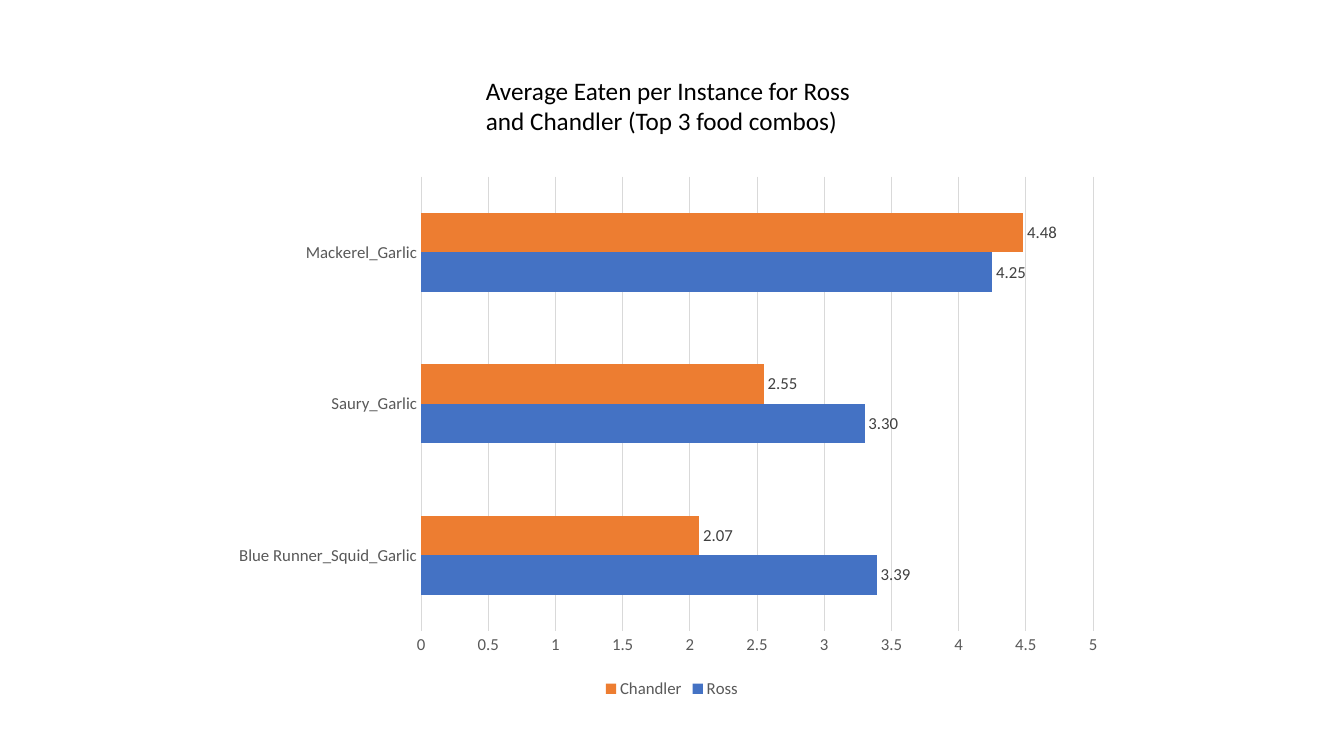
from pptx import Presentation
from pptx.chart.data import CategoryChartData
from pptx.dml.color import RGBColor
from pptx.enum.chart import XL_CHART_TYPE, XL_LABEL_POSITION, XL_LEGEND_POSITION, XL_TICK_MARK
from pptx.oxml import parse_xml
from pptx.oxml.ns import nsdecls, qn
from pptx.util import Pt

# Content
TITLE = "Average Eaten per Instance for Ross and Chandler (Top 3 food combos)"
FOODS = ["Blue Runner_Squid_Garlic", "Saury_Garlic", "Mackerel_Garlic"]
SERIES = [("Ross", [3.39, 3.30, 4.25]), ("Chandler", [2.07, 2.55, 4.48])]
COLORS = {"Ross": "4472C4", "Chandler": "ED7D31", "title": "000000",
          "axis": "595959", "label": "404040", "grid": "D9D9D9"}
FONT = "Calibri"
PLOT = {"x": 0.22, "y": 0.12, "w": 0.75, "h": 0.76}  # fractions of the chart


def style_font(font, size, color):
    font.name, font.size = FONT, Pt(size)
    font.color.rgb = RGBColor.from_string(COLORS[color])


def style_line(line):
    line.width = Pt(0.75)
    line.color.rgb = RGBColor.from_string(COLORS["grid"])


prs = Presentation()
prs.slide_width, prs.slide_height = Pt(960), Pt(540)
s = prs.slides.add_slide(prs.slide_layouts[6])

# Bar chart
data = CategoryChartData(number_format="#,##0.00")
data.categories = FOODS
for name, values in SERIES:
    data.add_series(name, values)
chart = s.shapes.add_chart(XL_CHART_TYPE.BAR_CLUSTERED, Pt(160), Pt(75),
                           Pt(640), Pt(427), data).chart
chart.has_title = False
style_font(chart.font, 10, "title")
plot = chart.plots[0]
plot.gap_width = 182
plot.vary_by_categories = False

# Series and their value labels
for series in plot.series:
    series.format.fill.solid()
    series.format.fill.fore_color.rgb = RGBColor.from_string(COLORS[series.name])
    labels = series.data_labels
    labels.show_value = True
    labels.position = XL_LABEL_POSITION.OUTSIDE_END
    labels.number_format, labels.number_format_is_linked = "#,##0.00", False
    style_font(labels.font, 12, "label")

# Axes
foods, amounts = chart.category_axis, chart.value_axis
for axis in (foods, amounts):
    axis.major_tick_mark = axis.minor_tick_mark = XL_TICK_MARK.NONE
    style_font(axis.tick_labels.font, 12, "axis")
style_line(foods.format.line)
amounts.format.line.fill.background()
amounts.has_major_gridlines = True
style_line(amounts.major_gridlines.format.line)
amounts.minimum_scale, amounts.maximum_scale, amounts.major_unit = 0, 5, 0.5
amounts.tick_labels.number_format = "General"
amounts.tick_labels.number_format_is_linked = False

# Legend
chart.has_legend = True
chart.legend.position = XL_LEGEND_POSITION.BOTTOM
chart.legend.include_in_layout = False
style_font(chart.legend.font, 12, "axis")

# Plot area placed below the heading
area = chart.element.find(".//" + qn("c:plotArea"))
for layout in area.findall(qn("c:layout")):
    area.remove(layout)
modes = '<c:xMode val="edge"/><c:yMode val="edge"/>'
sizes = "".join(f'<c:{key} val="{value}"/>' for key, value in PLOT.items())
area.insert(0, parse_xml(
    f'<c:layout {nsdecls("c")}><c:manualLayout><c:layoutTarget val="inner"/>'
    f'{modes}{sizes}</c:manualLayout></c:layout>'))

# Heading
tf = s.shapes.add_textbox(Pt(340), Pt(50), Pt(281), Pt(51)).text_frame
tf.word_wrap = True
tf.text = TITLE
style_font(tf.paragraphs[0].runs[0].font, 18, "title")

prs.save("out.pptx")
